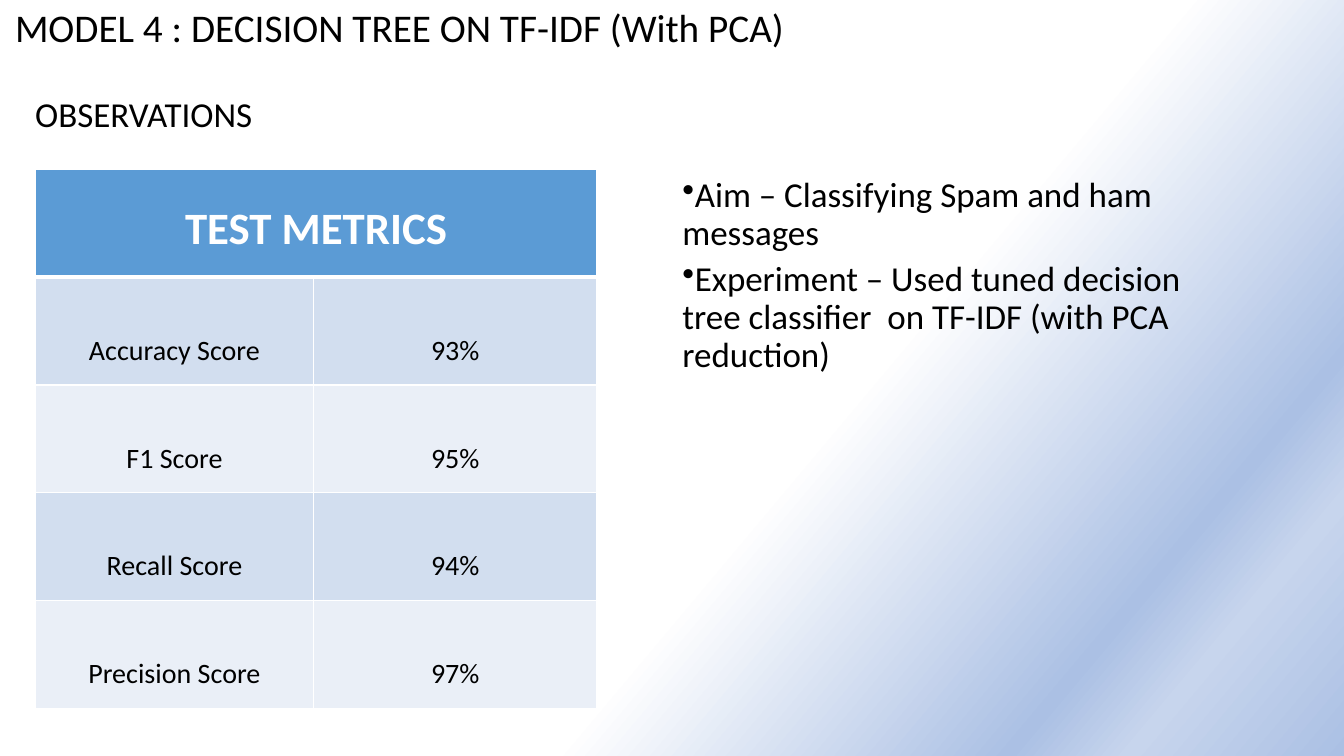
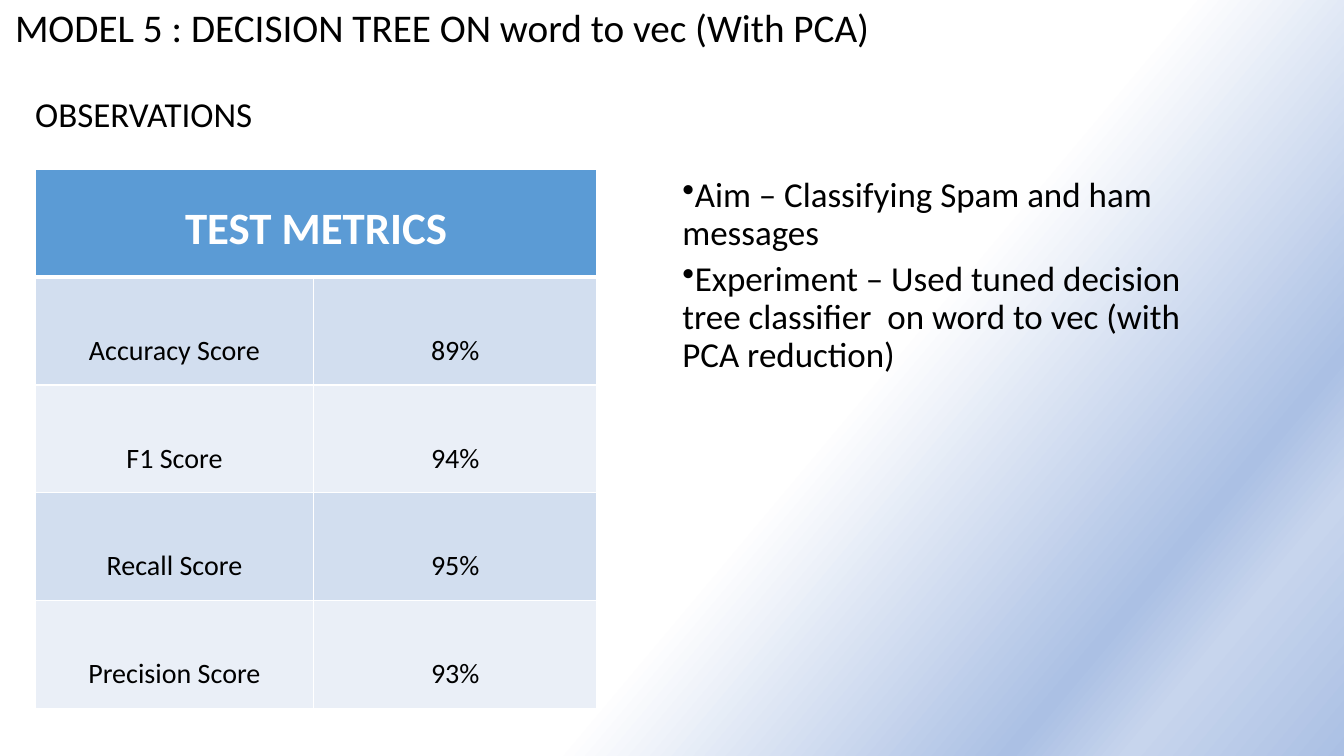
from dataclasses import dataclass

from lxml import etree
from pptx import Presentation
from pptx import util as u
from pptx.dml.color import RGBColor
from pptx.enum import text
from pptx.oxml import ns


# Theme and layout
@dataclass(frozen=True)
class Theme:
    font: str = "Calibri"
    ink: str = "000000"
    white: str = "FFFFFF"
    header: str = "5B9BD5"
    bands: tuple[str, ...] = ("D2DEEF", "EAEFF7")
    gradient: tuple[tuple[int, str], ...] = (
        (60, "FFFFFF"), (83, "ABC0E4"), (89, "C7D5ED"), (100, "ABC0E4"))
    gradient_angle: int = 40
    title_size: int = 28
    body_size: int = 25
    header_size: int = 32
    cell_size: int = 20


@dataclass(frozen=True)
class Box:
    """A rectangle in percent of the slide's width and height."""
    left: float
    top: float
    width: float
    height: float

    def emu(self) -> tuple[int, int, int, int]:
        return (int(WIDTH * self.left / 100), int(HEIGHT * self.top / 100),
                int(WIDTH * self.width / 100), int(HEIGHT * self.height / 100))


@dataclass(frozen=True)
class Model:
    title: str
    features: str
    scores: tuple[str, ...]


THEME = Theme()
WIDTH, HEIGHT = u.Inches(13.33), u.Inches(7.5)
TITLE_BOX = Box(0.38, 0.53, 99.4, 99.07)
HEADING_BOX = Box(1.88, 10.27, 21, 10.13)
TABLE_BOX = Box(2.63, 22.4, 41.79, 71.33)
NOTES_BOX = Box(50.04, 15.33, 42.69, 42.4)
LABEL_SHARE = 49.55  # percent of the table's width

METRICS = ("Accuracy Score", "F1 Score", "Recall Score", "Precision Score")
MODELS = (
    Model("MODEL 4 : DECISION TREE ON TF-IDF (With PCA)", "TF-IDF",
          ("93%", "95%", "94%", "97%")),
    Model("MODEL 5 : DECISION TREE ON word to vec (With PCA)", "word to vec",
          ("89%", "94%", "95%", "93%")),
)


# Text
def style_font(paragraph, size: int, color: str, bold: bool = False) -> None:
    font = paragraph.font
    font.name, font.size, font.bold = THEME.font, u.Pt(size), bold
    font.color.rgb = RGBColor.from_string(color)


def add_bullet(paragraph) -> None:
    properties = paragraph._p.get_or_add_pPr()
    properties.set("marL", "0")
    properties.set("indent", str(-u.Inches(0.25)))
    etree.SubElement(properties, ns.qn("a:buChar")).set("char", "•")


def add_text(slide, box: Box, lines: tuple[str, ...], size: int,
             anchor=text.MSO_ANCHOR.MIDDLE, space_after: int = 6,
             bulleted: bool = False) -> None:
    frame = slide.shapes.add_textbox(*box.emu()).text_frame
    frame.word_wrap = True
    frame.vertical_anchor = anchor
    for index, line in enumerate(lines):
        paragraph = frame.add_paragraph() if index else frame.paragraphs[0]
        paragraph.text = line
        paragraph.line_spacing = 0.9
        paragraph.space_after = u.Pt(space_after)
        if bulleted:
            add_bullet(paragraph)
        style_font(paragraph, size, THEME.ink)


# Background
def paint_background(slide) -> None:
    fill = slide.background.fill
    fill.gradient()
    fill.gradient_angle = 360 - THEME.gradient_angle
    stops = next(slide.element.iter(ns.qn("a:gsLst")))
    for stop in list(stops):
        stops.remove(stop)
    for position, color in THEME.gradient:
        stop = etree.SubElement(stops, ns.qn("a:gs"), pos=str(position * 1000))
        etree.SubElement(stop, ns.qn("a:srgbClr"), val=color)


# Table
def add_borders(cell, bottom: int) -> None:
    properties = cell._tc.get_or_add_tcPr()
    for index, side in enumerate("LRTB"):
        points = bottom if side == "B" else 1
        line = etree.Element(ns.qn(f"a:ln{side}"), w=str(u.Pt(points)))
        solid = etree.SubElement(line, ns.qn("a:solidFill"))
        etree.SubElement(solid, ns.qn("a:srgbClr"), val=THEME.white)
        properties.insert(index, line)


def style_cell(cell, fill: str, size: int, color: str, spacing: float,
               bold: bool = False, bottom: int = 1) -> None:
    cell.fill.solid()
    cell.fill.fore_color.rgb = RGBColor.from_string(fill)
    add_borders(cell, bottom)
    paragraph = cell.text_frame.paragraphs[0]
    paragraph.alignment = text.PP_ALIGN.CENTER
    paragraph.line_spacing = spacing
    style_font(paragraph, size, color, bold)


def add_metrics_table(slide, scores: tuple[str, ...]) -> None:
    table = slide.shapes.add_table(
        len(METRICS) + 1, 2, *TABLE_BOX.emu()).table
    label_column, score_column = table.columns
    total = label_column.width + score_column.width
    label_column.width = int(total * LABEL_SHARE / 100)
    score_column.width = total - label_column.width

    header = table.cell(0, 0)
    header.merge(table.cell(0, 1))
    header.text = "TEST METRICS"
    for column in range(2):
        style_cell(table.cell(0, column), THEME.header, THEME.header_size,
                   THEME.white, 1.5, bold=True, bottom=3)

    for row, values in enumerate(zip(METRICS, scores), start=1):
        band = THEME.bands[(row - 1) % len(THEME.bands)]
        for column, value in enumerate(values):
            cell = table.cell(row, column)
            cell.text = value
            # The first row shares its top edge with the thick header rule
            style_cell(cell, band, THEME.cell_size, THEME.ink, 2.5)
            if row == 1:
                top = cell._tc.tcPr.find(ns.qn("a:lnT"))
                top.set("w", str(u.Pt(3)))


# Slides
def add_model_slide(presentation, model: Model) -> None:
    slide = presentation.slides.add_slide(presentation.slide_layouts[6])
    paint_background(slide)
    add_text(slide, TITLE_BOX, (model.title,), THEME.title_size,
             anchor=text.MSO_ANCHOR.TOP, space_after=0)
    add_metrics_table(slide, model.scores)
    notes = (
        "Aim – Classifying Spam and ham messages",
        "Experiment – Used tuned decision tree classifier  on "
        f"{model.features} (with PCA reduction)",
    )
    add_text(slide, NOTES_BOX, notes, THEME.body_size, bulleted=True)
    add_text(slide, HEADING_BOX, ("OBSERVATIONS",), THEME.body_size)


def main() -> None:
    presentation = Presentation()
    presentation.slide_width, presentation.slide_height = WIDTH, HEIGHT
    for model in MODELS:
        add_model_slide(presentation, model)
    presentation.save("out.pptx")


if __name__ == "__main__":
    main()
